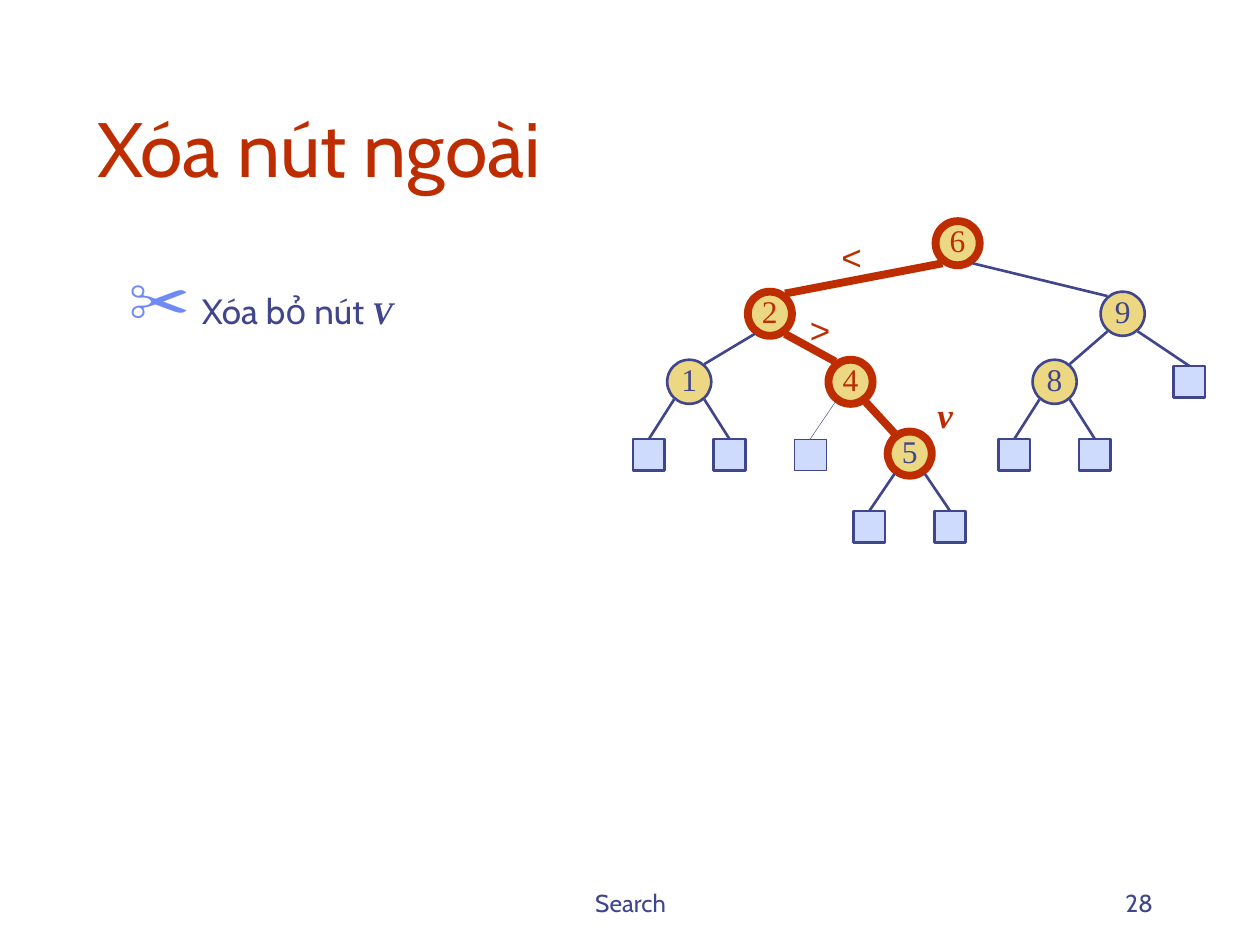
from dataclasses import dataclass

from lxml import etree
from pptx import Presentation
from pptx.dml.color import RGBColor
from pptx.enum.shapes import MSO_CONNECTOR, MSO_SHAPE
from pptx.enum.text import MSO_ANCHOR, PP_ALIGN
from pptx.oxml.ns import qn
from pptx.util import Inches, Pt

OVAL, RECT = MSO_SHAPE.OVAL, MSO_SHAPE.RECTANGLE
STRAIGHT = MSO_CONNECTOR.STRAIGHT
TOP, MIDDLE, BOTTOM = MSO_ANCHOR.TOP, MSO_ANCHOR.MIDDLE, MSO_ANCHOR.BOTTOM
LEFT, CENTER, RIGHT = PP_ALIGN.LEFT, PP_ALIGN.CENTER, PP_ALIGN.RIGHT


@dataclass(frozen=True)
class Theme:
    ink: RGBColor = RGBColor.from_string("40458C")
    accent: RGBColor = RGBColor.from_string("BE2D00")
    node: RGBColor = RGBColor.from_string("ECD882")
    leaf: RGBColor = RGBColor.from_string("CFDBFD")
    bullet: str = "6F89F7"
    sans: str = "Cabin"
    serif: str = "Times New Roman"
    symbol: str = "Arial"
    title: int = 44
    spacer: int = 32
    body: int = 20
    label: int = 18
    footer: int = 14
    hairline: float = 0.25
    thin: float = 1.5
    thick: float = 4.5


T = Theme()


def add_run(p, text, size, name, color, **style):
    r = p.add_run()
    r.text = text
    r.font.color.rgb = color
    for key, value in {"size": Pt(size), "name": name, **style}.items():
        setattr(r.font, key, value)


def place(shape, left, top, width, height, anchor, align, **frame):
    """Position a text shape, format its frame and return its first paragraph."""
    box = {"left": left, "top": top, "width": width, "height": height}
    for key, value in box.items():
        setattr(shape, key, Inches(value))
    tf = shape.text_frame
    for key, value in {"word_wrap": True, "vertical_anchor": anchor, **frame}.items():
        setattr(tf, key, value)
    tf.paragraphs[0].alignment = align
    return tf.paragraphs[0]


prs = Presentation()
prs.slide_width, prs.slide_height = Inches(10), Inches(7.5)
s = prs.slides.add_slide(prs.slide_layouts[1])

# Title and list
p = place(s.shapes.title, 0.67, 0.33, 8.5, 1.25, BOTTOM, LEFT)
add_run(p, "Xóa nút ngoài", T.title, T.sans, T.accent)

p = place(s.placeholders[1], 0.92, 2.08, 3.67, 4.5, TOP, LEFT)
p.space_before = Pt(4.5)
add_run(p, " ", T.spacer, T.sans, T.ink)
add_run(p, "Xóa bỏ nút ", T.body, T.sans, T.ink)
add_run(p, "V", T.label, T.serif, T.ink, bold=True, italic=True)
pPr = p._p.get_or_add_pPr()
pPr.set("marL", str(Inches(0.38)))
pPr.set("indent", str(Inches(-0.38)))
bullet_color = etree.SubElement(pPr, qn("a:buClr"))
etree.SubElement(bullet_color, qn("a:srgbClr"), val=T.bullet)
etree.SubElement(pPr, qn("a:buSzPct"), val="110000")
etree.SubElement(pPr, qn("a:buChar"), char="✂")

# Footer
for text, left, width, align in [("Search", 3.42, 3.17, CENTER), ("28", 7.17, 2.08, RIGHT)]:
    box = s.shapes.add_textbox(0, 0, 0, 0)
    p = place(box, left, 6.83, width, 0.5, BOTTOM, align)
    add_run(p, text, T.footer, T.sans, T.ink)

# Tree: centre of each node, whether it is on the search path, label colour
NODE, LEAF = 0.35, 0.25
nodes = {
    "6": (7.6, 1.93, True, T.accent),
    "2": (6.11, 2.49, True, T.accent),
    "9": (8.91, 2.49, False, T.ink),
    "1": (5.47, 3.03, False, T.ink),
    "4": (6.75, 3.03, True, T.accent),
    "8": (8.37, 3.03, False, T.ink),
    "5": (7.22, 3.6, True, T.ink),
}
branches = ["62", "69", "21", "24", "98", "45"]
# Parent, horizontal and vertical offset of the leaf's centre, line width
leaves = [(parent, side * 0.32, 0.58, T.thin) for parent in "185" for side in (-1, 1)]
leaves += [("4", -0.32, 0.58, T.hairline), ("9", 0.53, 0.54, T.thin)]

edges = []
for parent, child in branches:
    x1, y1, hot1, _ = nodes[parent]
    x2, y2, hot2, _ = nodes[child]
    side = 0.12 if x2 > x1 else -0.12
    start = (x1 + side, y1 + (0.16 if hot1 else 0.14))
    end = (x2 - side, y2 - (0.16 if hot2 else 0.14))
    on_path = hot1 and hot2
    edges.append((start, end, T.accent if on_path else T.ink, T.thick if on_path else T.thin))

for parent, dx, dy, width in leaves:
    x, y, hot, _ = nodes[parent]
    box = s.shapes.add_shape(RECT, Inches(x + dx - LEAF / 2), Inches(y + dy - LEAF / 2),
                             Inches(LEAF), Inches(LEAF))
    box.shadow.inherit = False
    box.fill.solid()
    box.fill.fore_color.rgb = T.leaf
    box.line.color.rgb = T.ink
    box.line.width = Pt(width)
    start = (x + (0.12 if dx > 0 else -0.12), y + (0.16 if hot else 0.14))
    edges.append((start, (x + dx, y + dy - LEAF / 2), T.ink, width))

for label, (x, y, hot, color) in nodes.items():
    circle = s.shapes.add_shape(OVAL, 0, 0, 0, 0)
    p = place(circle, x - NODE / 2, y - NODE / 2, NODE, NODE, MIDDLE, CENTER, word_wrap=False,
              margin_left=0, margin_right=0, margin_top=0, margin_bottom=Inches(0.05))
    circle.shadow.inherit = False
    circle.fill.solid()
    circle.fill.fore_color.rgb = T.node
    circle.line.color.rgb = T.accent if hot else T.ink
    circle.line.width = Pt(T.thick if hot else T.thin)
    add_run(p, label, T.label, T.serif, color)

for start, end, color, width in edges:
    edge = s.shapes.add_connector(STRAIGHT, *(Inches(v) for v in start + end))
    edge.line.color.rgb = color
    edge.line.width = Pt(width)
    etree.SubElement(edge._element.spPr, qn("a:effectLst"))

# Marks beside the search path
marks = [
    ("v", 7.34, 3.07, 0.32, T.serif, {"bold": True, "italic": True}),
    ("<", 6.58, 1.82, 0.36, T.symbol, {}),
    (">", 6.33, 2.4, 0.36, T.symbol, {}),
]
for text, left, top, width, name, style in marks:
    box = s.shapes.add_textbox(0, 0, 0, 0)
    p = place(box, left, top, width, 0.44, TOP, CENTER, word_wrap=False)
    add_run(p, text, T.body, name, T.accent, **style)

prs.save("out.pptx")
